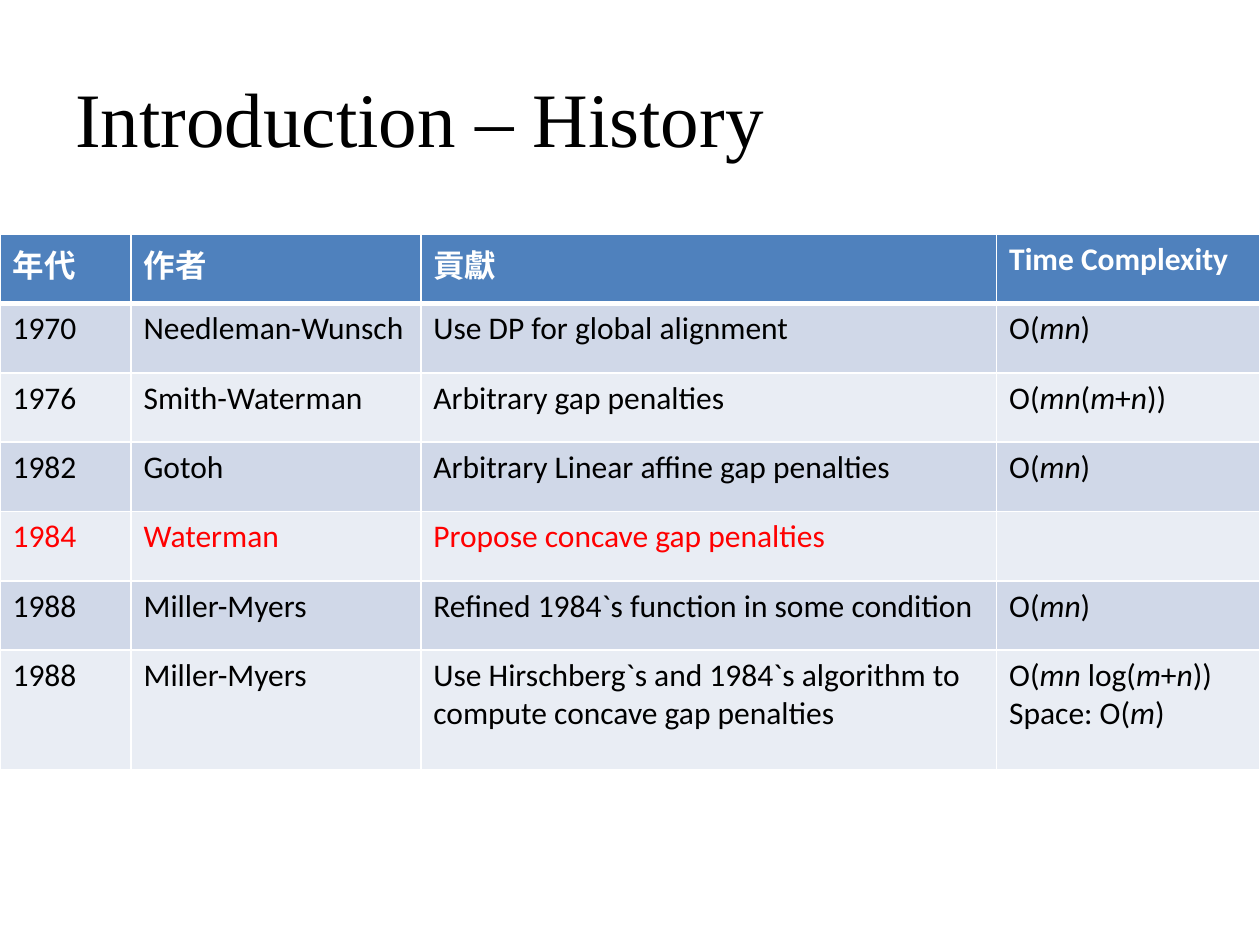
from lxml.etree import SubElement
from pptx import Presentation
from pptx.dml.color import RGBColor
from pptx.enum.text import MSO_ANCHOR
from pptx.oxml.ns import qn
from pptx.util import Inches, Pt

BLACK = RGBColor(0x00, 0x00, 0x00)
WHITE = RGBColor(0xFF, 0xFF, 0xFF)
RED = RGBColor(0xFF, 0x00, 0x00)
HEADER_BLUE = RGBColor(0x4F, 0x81, 0xBD)
BANDS = (RGBColor(0xD0, 0xD8, 0xE8), RGBColor(0xE9, 0xED, 0xF4))

COL_WIDTHS = (1.04, 2.3, 4.57, 2.09)
ROW_HEIGHTS = (0.55,) * 6 + (0.95,)
HISTORY = (
    ("年代", "作者", "貢獻", "Time Complexity"),
    ("1970", "Needleman-Wunsch", "Use DP for global alignment", "O(*mn*)"),
    ("1976", "Smith-Waterman", "Arbitrary gap penalties", "O(*mn*(*m*+*n*))"),
    ("1982", "Gotoh", "Arbitrary Linear affine gap penalties", "O(*mn*)"),
    ("1984", "Waterman", "Propose concave gap penalties", ""),
    ("1988", "Miller-Myers", "Refined 1984`s function in some condition", "O(*mn*)"),
    ("1988", "Miller-Myers",
     "Use Hirschberg`s and 1984`s algorithm to compute concave gap penalties",
     "O(*mn* log(*m*+*n*))\nSpace: O(*m*)"),
)
HIGHLIGHT_YEAR = "1984"


def write_text(tf, text, font="Calibri", size=18, color=BLACK, bold=False):
    """Write lines of text, with *asterisks* around the italic parts."""
    for i, line in enumerate(text.split("\n")):
        p = tf.add_paragraph() if i else tf.paragraphs[0]
        p.font.size = Pt(size)
        for j, part in enumerate(line.split("*")):
            if part:
                r = p.add_run()
                r.text = part
                r.font.name, r.font.size = font, Pt(size)
                r.font.bold, r.font.italic = bold, j % 2 == 1
                r.font.color.rgb = color


def add_title(slide, text):
    """Add the slide title."""
    sp = slide.shapes.add_textbox(Inches(0.5), Inches(0.3), Inches(9), Inches(1.25))
    tf = sp.text_frame
    tf.word_wrap = True
    tf.vertical_anchor = MSO_ANCHOR.MIDDLE
    write_text(tf, text, font="Times New Roman", size=44)


def set_borders(cell, top=1, bottom=1):
    """Give a cell white borders, with widths in points."""
    tc_pr = cell._tc.get_or_add_tcPr()
    widths = {"a:lnL": 1, "a:lnR": 1, "a:lnT": top, "a:lnB": bottom}
    for i, (tag, width) in enumerate(widths.items()):
        ln = SubElement(tc_pr, qn(tag), w=str(Pt(width)))
        fill = SubElement(ln, qn("a:solidFill"))
        SubElement(fill, qn("a:srgbClr"), val=str(WHITE))
        tc_pr.insert(i, ln)


def add_history_table(slide):
    """Add the table of algorithms by year."""
    table = slide.shapes.add_table(
        len(HISTORY), len(COL_WIDTHS), Inches(0), Inches(1.86),
        Inches(sum(COL_WIDTHS)), Inches(sum(ROW_HEIGHTS))).table
    for column, width in zip(table.columns, COL_WIDTHS):
        column.width = Inches(width)
    for i, (row, height, texts) in enumerate(zip(table.rows, ROW_HEIGHTS, HISTORY)):
        row.height = Inches(height)
        header = i == 0
        color = WHITE if header else RED if texts[0] == HIGHLIGHT_YEAR else BLACK
        for cell, text in zip(row.cells, texts):
            cell.fill.solid()
            cell.fill.fore_color.rgb = HEADER_BLUE if header else BANDS[(i - 1) % 2]
            set_borders(cell, top=3 if i == 1 else 1, bottom=3 if header else 1)
            write_text(cell.text_frame, text, color=color, bold=header)


def main():
    """Build the slide and save it."""
    prs = Presentation()
    prs.slide_width, prs.slide_height = Inches(10), Inches(7.5)
    slide = prs.slides.add_slide(prs.slide_layouts[6])
    add_title(slide, "Introduction – History")
    add_history_table(slide)
    prs.save("out.pptx")


if __name__ == "__main__":
    main()
